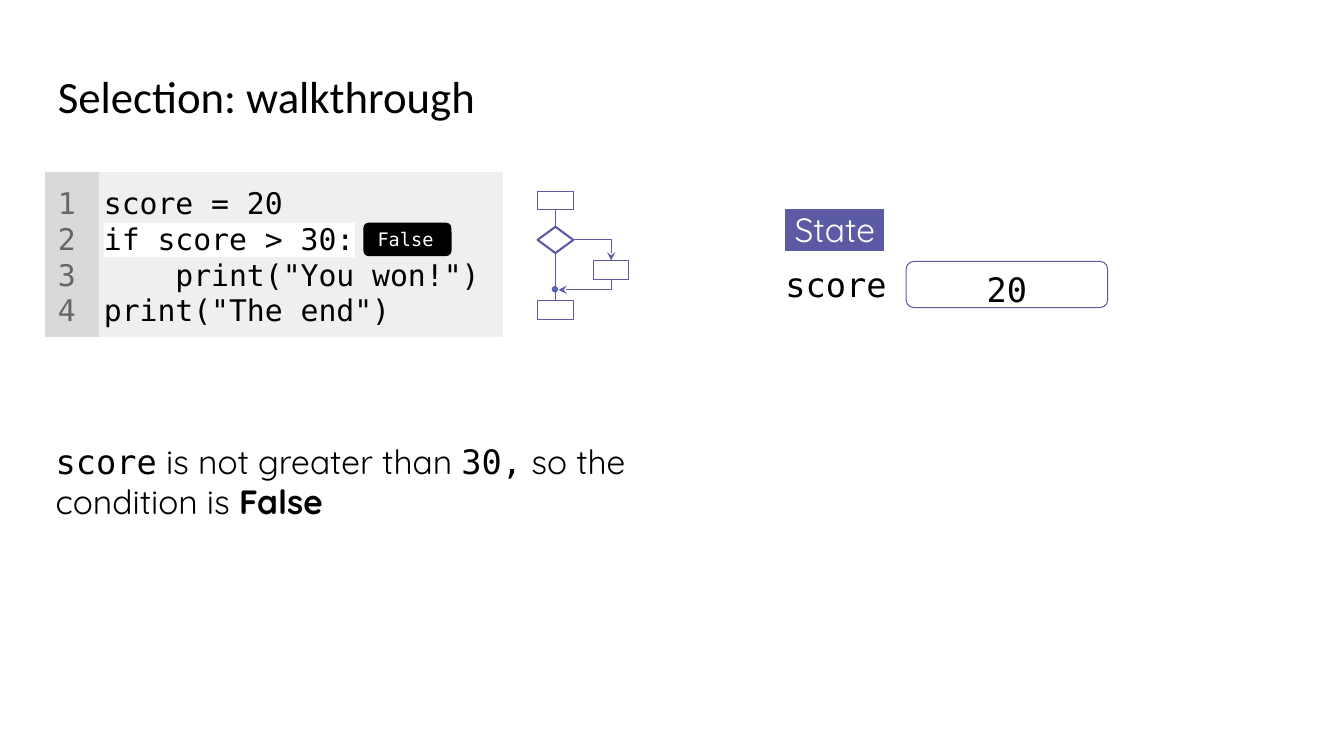
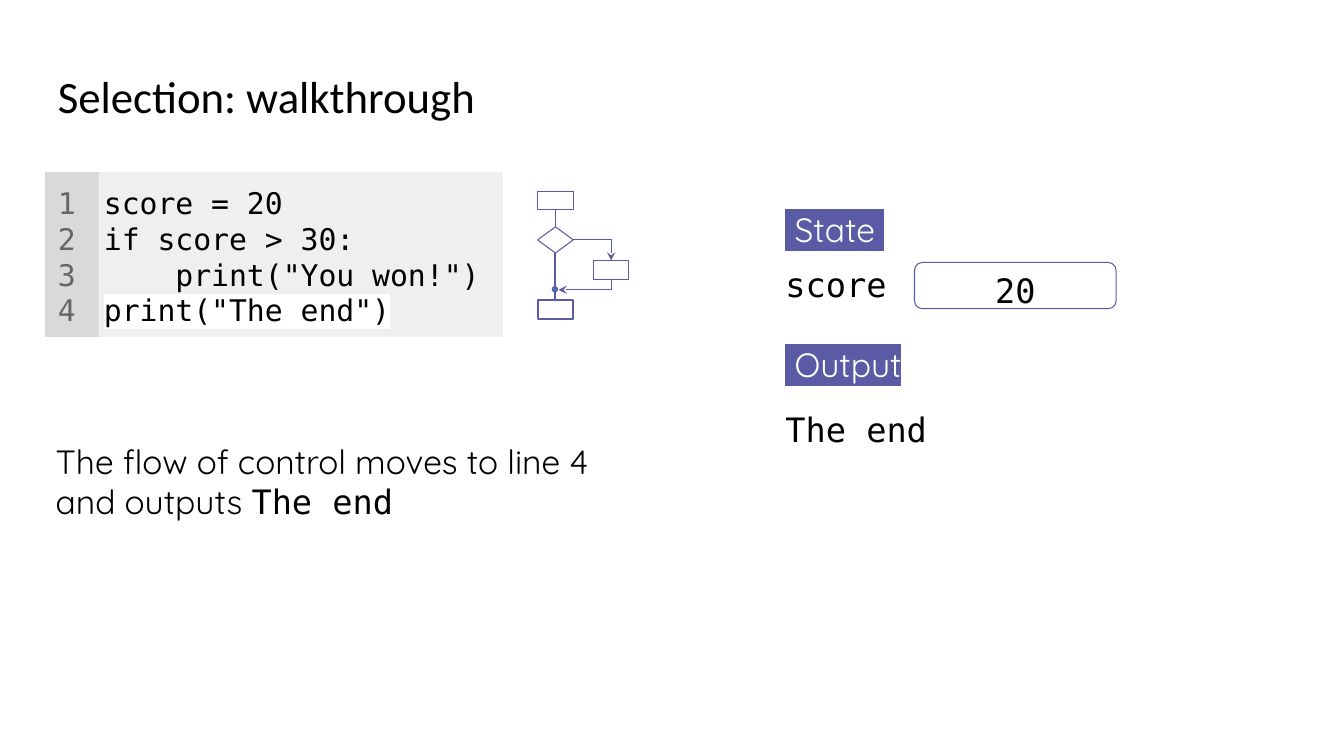
from dataclasses import dataclass, field
from typing import Any, Optional

import lxml.etree
import pptx
import pptx.dml.color
import pptx.enum.dml
import pptx.enum.shapes
import pptx.enum.text
import pptx.oxml.ns
import pptx.util

RGBColor = pptx.dml.color.RGBColor
Shape = pptx.enum.shapes.MSO_SHAPE
Connector = pptx.enum.shapes.MSO_CONNECTOR
Anchor = pptx.enum.text.MSO_ANCHOR
Align = pptx.enum.text.PP_ALIGN
qn = pptx.oxml.ns.qn

BLACK = RGBColor(0x00, 0x00, 0x00)
WHITE = RGBColor(0xFF, 0xFF, 0xFF)
PURPLE = RGBColor(0x5B, 0x5B, 0xA5)
BLUE = RGBColor(0x44, 0x72, 0xC4)
CODE_GREY = RGBColor(0xEF, 0xEF, 0xEF)
GUTTER_GREY = RGBColor(0xD9, 0xD9, 0xD9)
NUMBER_GREY = RGBColor(0x66, 0x66, 0x66)

HEADING = "Calibri"
MONO = "DejaVu Sans Mono"
BODY = "Quicksand"

EMU_PER_PX = 9525
INSETS = (12, 12, 12, 12)
THIN, THICK = 0.75, 1.5
TOP, BOTTOM = 0, 2

CODE = ["score = 20", "if score > 30:", "    print(\"You won!\")", "print(\"The end\")"]
CODE_TOP, CODE_HEIGHT = 164, 157
STATE_LEFT = 736


@dataclass(frozen=True)
class Box:
    left: int
    top: int
    width: int
    height: int

    def emu(self) -> list[int]:
        return [px(side) for side in (self.left, self.top, self.width, self.height)]


@dataclass(frozen=True)
class Run:
    text: str
    font: str = BODY
    bold: bool = False
    highlight: Optional[RGBColor] = None


@dataclass(frozen=True)
class Step:
    current_line: int
    explanation: list[Run]
    score_box: Box
    condition: str = ""
    output: str = ""
    thick: set[str] = field(default_factory=set)


STEPS = [
    Step(
        current_line=2,
        explanation=[
            Run("score", MONO),
            Run(" is not greater than "),
            Run("30,", MONO),
            Run(" so the condition is "),
            Run("False", bold=True),
        ],
        score_box=Box(863, 249, 192, 44),
        condition="False",
        thick={"decision"},
    ),
    Step(
        current_line=4,
        explanation=[
            Run("The flow of control moves to line 4 and outputs "),
            Run("The end", MONO),
        ],
        score_box=Box(871, 250, 192, 44),
        output="The end",
        thick={"skip", "end"},
    ),
]


def px(length: int) -> int:
    return pptx.util.Emu(length * EMU_PER_PX)


def write(
    shape: Any,
    lines: list[list[Run]],
    *,
    size: float = 24,
    color: RGBColor = BLACK,
    align: Align = Align.LEFT,
    anchor: Anchor = Anchor.TOP,
    spacing: float = 1.0,
    insets: tuple[int, int, int, int] = INSETS,
) -> None:
    frame = shape.text_frame
    frame.word_wrap = True
    frame.auto_size = pptx.enum.text.MSO_AUTO_SIZE.NONE
    frame.vertical_anchor = anchor
    frame.margin_left, frame.margin_top, frame.margin_right, frame.margin_bottom = map(px, insets)
    for index, line in enumerate(lines):
        paragraph = frame.add_paragraph() if index else frame.paragraphs[0]
        paragraph.alignment = align
        paragraph.line_spacing = spacing
        for part in line:
            run = paragraph.add_run()
            run.text = part.text
            run.font.name = part.font
            run.font.size = pptx.util.Pt(size)
            run.font.bold = part.bold
            run.font.color.rgb = color
            if part.highlight is not None:
                mark = lxml.etree.Element(qn("a:highlight"))
                lxml.etree.SubElement(mark, qn("a:srgbClr"), val=str(part.highlight))
                run.font._element.find(qn("a:solidFill")).addnext(mark)


def add_text(slide: Any, box: Box, lines: list[list[Run]], **style: Any) -> None:
    write(slide.shapes.add_textbox(*box.emu()), lines, **style)


def add_figure(
    slide: Any,
    kind: Shape,
    box: Box,
    fill: Optional[RGBColor] = None,
    line_width: Optional[float] = None,
) -> Any:
    figure = slide.shapes.add_shape(kind, *box.emu())
    figure.shadow.inherit = False
    if fill is None:
        figure.fill.background()
    else:
        figure.fill.solid()
        figure.fill.fore_color.rgb = fill
    if line_width is None:
        figure.line.fill.background()
    else:
        figure.line.color.rgb = PURPLE
        figure.line.width = pptx.util.Pt(line_width)
    return figure


def add_link(
    slide: Any, kind: Connector, start: tuple[int, int], end: tuple[int, int], width: float = THIN
) -> Any:
    link = slide.shapes.add_connector(kind, *map(px, start + end))
    link.line.color.rgb = PURPLE
    link.line.width = pptx.util.Pt(width)
    lxml.etree.SubElement(link._element.spPr, qn("a:effectLst"))
    return link


def add_flow(slide: Any, upper: Any, lower: Any, width: float = THIN) -> None:
    flow = add_link(slide, Connector.STRAIGHT, (0, 0), (0, 0), width)
    flow.begin_connect(upper, BOTTOM)
    flow.end_connect(lower, TOP)


def add_corner_arrow(
    slide: Any, start: tuple[int, int], end: tuple[int, int], down_first: bool = False
) -> None:
    if down_first:
        middle_x, middle_y = (start[0] + end[0]) // 2, (start[1] + end[1]) // 2
        across, down = abs(end[0] - start[0]), abs(end[1] - start[1])
        start = (middle_x - down // 2, middle_y - across // 2)
        end = (start[0] + down, start[1] + across)
    arrow = add_link(slide, Connector.ELBOW, start, end)
    properties = arrow._element.spPr
    properties.find(qn("a:prstGeom")).set("prst", "bentConnector2")
    if down_first:
        properties.find(qn("a:xfrm")).set("rot", "5400000")
    lxml.etree.SubElement(properties.find(qn("a:ln")), qn("a:tailEnd"), type="stealth")


def add_code(slide: Any, step: Step) -> None:
    listing = add_figure(slide, Shape.RECTANGLE, Box(87, CODE_TOP, 392, CODE_HEIGHT), CODE_GREY)
    lines = [
        [Run(text, MONO, highlight=WHITE if number == step.current_line else None)]
        for number, text in enumerate(CODE, 1)
    ]
    write(listing, lines, size=21.3)
    gutter = add_figure(slide, Shape.RECTANGLE, Box(43, CODE_TOP, 51, CODE_HEIGHT), GUTTER_GREY)
    numbers = [[Run(str(number), MONO)] for number in range(1, len(CODE) + 1)]
    write(gutter, numbers, size=21.3, color=NUMBER_GREY)
    if step.condition:
        verdict = add_figure(slide, Shape.ROUNDED_RECTANGLE, Box(346, 212, 84, 32), BLACK)
        write(verdict, [[Run(step.condition, MONO)]], size=13.3, color=WHITE, anchor=Anchor.MIDDLE)


def add_flowchart(slide: Any, step: Step) -> None:
    def width(part: str) -> float:
        return THICK if part in step.thick else THIN

    start = add_figure(slide, Shape.RECTANGLE, Box(512, 182, 34, 18), line_width=THIN)
    decision = add_figure(
        slide, Shape.FLOWCHART_DECISION, Box(512, 216, 34, 25), line_width=width("decision")
    )
    add_figure(slide, Shape.RECTANGLE, Box(565, 248, 34, 18), line_width=THIN)
    end = add_figure(slide, Shape.RECTANGLE, Box(512, 286, 34, 18), line_width=width("end"))
    add_flow(slide, start, decision)
    add_flow(slide, decision, end, width("skip"))
    add_corner_arrow(slide, (546, 228), (582, 248))
    add_corner_arrow(slide, (582, 266), (532, 276), down_first=True)
    add_figure(slide, Shape.OVAL, Box(526, 273, 5, 5), BLUE, THIN)


def add_label(slide: Any, text: str, top: int, width: int) -> None:
    label = Run(f" {text} ", highlight=PURPLE)
    add_text(slide, Box(STATE_LEFT, top, width, 51), [[label]],
             color=WHITE, spacing=1.14, insets=(12, 12, 8, 12))


def add_state(slide: Any, step: Step) -> None:
    add_label(slide, "State", 182, 298)
    add_text(slide, Box(STATE_LEFT, 234, 172, 51), [[Run("score", MONO)]], spacing=1.15)
    value = add_figure(slide, Shape.ROUNDED_RECTANGLE, step.score_box, line_width=THIN)
    write(value, [[Run("20", MONO)]], align=Align.CENTER, anchor=Anchor.MIDDLE,
          spacing=1.15, insets=(12, 3, 12, 0))
    if step.output:
        add_label(slide, "Output", 310, 134)
        add_text(slide, Box(STATE_LEFT, 372, 499, 217), [[Run(step.output, MONO)]], spacing=1.15)


def add_step(deck: Any, step: Step) -> None:
    slide = deck.slides.add_slide(deck.slide_layouts[5])
    title = slide.shapes.title
    title.left, title.top, title.width, title.height = Box(43, 45, 1193, 98).emu()
    write(title, [[Run("Selection: walkthrough", HEADING)]],
          size=32, anchor=Anchor.MIDDLE, spacing=0.9)
    add_code(slide, step)
    add_flowchart(slide, step)
    add_state(slide, step)
    add_text(slide, Box(41, 408, 586, 195), [step.explanation])


def main() -> None:
    deck = pptx.Presentation()
    deck.slide_width, deck.slide_height = px(1280), px(720)
    for step in STEPS:
        add_step(deck, step)
    deck.save("out.pptx")


if __name__ == "__main__":
    main()
